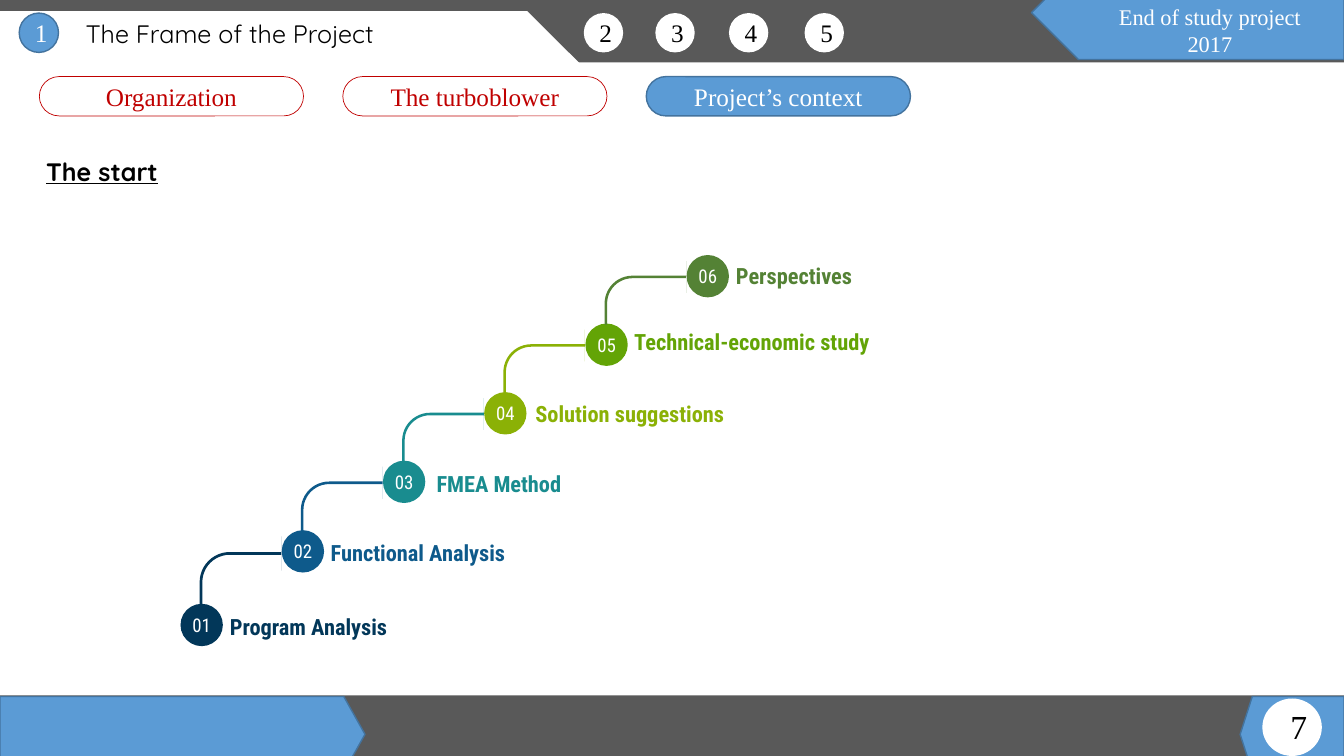
import pptx
import pptx.dml.color
import pptx.enum.shapes
import pptx.enum.text
import pptx.util

Inches = pptx.util.Inches
SHAPE = pptx.enum.shapes.MSO_SHAPE
ANCHOR = pptx.enum.text.MSO_ANCHOR
ALIGN = pptx.enum.text.PP_ALIGN

WHITE, BLACK, RED = "FFFFFF", "000000", "C00000"
GREY, BLUE, DARK_BLUE = "595959", "5B9BD5", "43739E"
SERIF, ROUNDED, NARROW = "Times New Roman", "Quicksand", "Roboto Condensed"

CIRCLE = 0.42
STEP_WIDTH = 1.004
STEPS = [
    ("Program Analysis", 5.99, 2.28, 6.08, "023759", "023759"),
    ("Functional Analysis", 5.26, 3.28, 5.35, "0E5A8B", "0E5A8B"),
    ("FMEA Method", 4.57, 4.33, 4.66, "198C8F", "198C8F"),
    ("Solution suggestions", 3.89, 5.31, 3.97, "8BB106", "8BB106"),
    ("Technical-economic study", 3.21, 6.29, 3.26, "63A406", "548235"),
    ("Perspectives", 2.53, 7.3, 2.6, "548235", None),
]


def rgb(color):
    """Turn a hex string into a colour."""
    return pptx.dml.color.RGBColor.from_string(color)


def write(shape, text, size, font, color, align=ALIGN.CENTER, bold=False, underline=False):
    """Write one paragraph per line of text in a shape."""
    shape.text_frame.text = text
    for paragraph in shape.text_frame.paragraphs:
        paragraph.alignment = align
        paragraph.font.size = pptx.util.Pt(size)
        paragraph.font.name = font
        paragraph.font.bold = bold
        paragraph.font.underline = underline
        paragraph.font.color.rgb = rgb(color)


def add_shape(slide, kind, left, top, width, height, fill, line=None, weight=1,
              adjustments=(), rotation=0):
    """Add a flat preset shape, outlined only if a line colour is given."""
    shape = slide.shapes.add_shape(kind, Inches(left), Inches(top), Inches(width), Inches(height))
    shape.shadow.inherit = False
    shape.fill.solid()
    shape.fill.fore_color.rgb = rgb(fill)
    if line:
        shape.line.color.rgb = rgb(line)
        shape.line.width = pptx.util.Pt(weight)
    else:
        shape.line.fill.background()
    for index, value in enumerate(adjustments):
        shape.adjustments[index] = value
    shape.rotation = rotation
    shape.text_frame.vertical_anchor = ANCHOR.MIDDLE
    return shape


def add_text(slide, left, top, width, height, text, size, font, color, align=ALIGN.LEFT,
             inset=True, wrap=True, **style):
    """Add a text box."""
    box = slide.shapes.add_textbox(Inches(left), Inches(top), Inches(width), Inches(height))
    frame = box.text_frame
    frame.word_wrap = wrap
    if not inset:
        frame.margin_left = frame.margin_right = frame.margin_top = frame.margin_bottom = 0
    write(box, text, size, font, color, align, **style)


def add_chapter(slide, number, left, fill, color, line=None):
    """Add a numbered chapter circle to the header."""
    circle = add_shape(slide, SHAPE.OVAL, left, 0.13, 0.39, 0.39, fill, line)
    write(circle, str(number), 18, SERIF, color)


def add_tab(slide, text, left, active=False):
    """Add a section tab, filled when it is the active one."""
    fill, line, weight, color = (BLUE, DARK_BLUE, 1, WHITE) if active else (WHITE, RED, 0.5, RED)
    tab = add_shape(slide, SHAPE.ROUNDED_RECTANGLE, left, 0.76, 2.62, 0.39, fill, line, weight, [0.5])
    write(tab, text, 18, SERIF, color)


def add_header(slide):
    """Add the top band, the chapters and the section tabs."""
    add_shape(slide, SHAPE.RECTANGLE, -0.02, -0.32, 13.35, 0.94, GREY)
    add_shape(slide, SHAPE.PENTAGON, -0.02, 0.11, 5.8, 1.1, WHITE)
    add_chapter(slide, 1, 0.19, BLUE, WHITE, DARK_BLUE)
    add_text(slide, 0.75, 0.13, 5.63, 0.4, "The Frame of the Project", 18, ROUNDED, BLACK)
    for number, left in enumerate((5.79, 6.5, 7.23, 7.98), start=2):
        add_chapter(slide, number, left, WHITE, BLACK)
    for index, text in enumerate(("Organization", "The turboblower", "Project’s context")):
        add_tab(slide, text, 0.39 + 3.01 * index, active=index == 2)
    add_shape(slide, SHAPE.PENTAGON, 10.23, -0.34, 3.1, 0.93, BLUE, DARK_BLUE, rotation=180)
    add_text(slide, 10.23, -0.02, 3.54, 0.64, "End of study project\n2017", 16, SERIF, WHITE,
             ALIGN.CENTER)


def add_footer(slide):
    """Add the bottom band with the page number."""
    add_shape(slide, SHAPE.RECTANGLE, -0.02, 6.9, 13.35, 1.1, GREY)
    add_shape(slide, SHAPE.PENTAGON, 12.3, 6.91, 1.03, 0.75, BLUE, DARK_BLUE,
              adjustments=[0.16], rotation=180)
    add_shape(slide, SHAPE.PENTAGON, 0, 6.91, 3.62, 0.75, BLUE, DARK_BLUE, adjustments=[0.28])
    add_shape(slide, SHAPE.OVAL, 12.52, 6.93, 0.59, 0.57, WHITE)
    add_text(slide, 12.7, 6.95, 0.36, 0.5, "7", 24, SERIF, BLACK, ALIGN.CENTER, wrap=False)


def add_staircase(slide):
    """Add the numbered steps, each joined to the next by a bent arrow."""
    for index, (label, top, label_left, label_top, color, arrow_color) in enumerate(STEPS):
        left = 1.79 + STEP_WIDTH * index
        circle = add_shape(slide, SHAPE.OVAL, left, top, CIRCLE, CIRCLE, color)
        circle.text_frame.word_wrap = False
        write(circle, f"{index + 1:02}", 13.5, NARROW, WHITE)
        if arrow_color:
            arrow_top = STEPS[index + 1][1] + 0.06
            add_shape(slide, SHAPE.BENT_ARROW, left + 0.19, arrow_top, 0.81, top + 0.01 - arrow_top,
                      arrow_color, adjustments=[0.04, 0.25, 0, 0.44])
        add_text(slide, label_left, label_top, 3.7, 0.27, label, 16, NARROW, color,
                 inset=False, bold=True)


def main():
    """Build the slide and save it."""
    presentation = pptx.Presentation()
    presentation.slide_width = Inches(13.33)
    presentation.slide_height = Inches(7.5)
    slide = presentation.slides.add_slide(presentation.slide_layouts[6])
    add_header(slide)
    add_footer(slide)
    add_text(slide, 0.36, 1.5, 5.63, 0.4, "The start", 18, ROUNDED, BLACK, bold=True, underline=True)
    add_staircase(slide)
    presentation.save("out.pptx")


if __name__ == "__main__":
    main()
